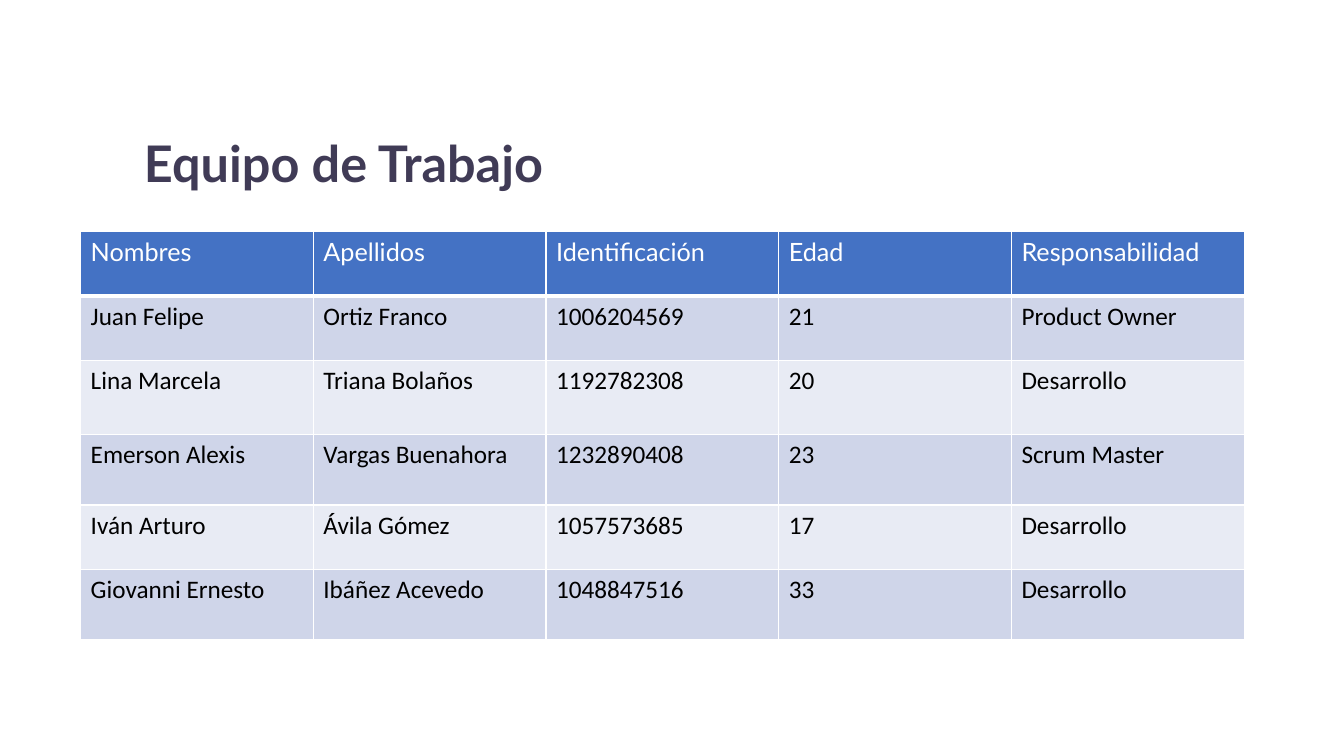
from lxml.etree import SubElement as Sub
from pptx import Presentation
from pptx.dml.color import RGBColor as RGB
from pptx.enum.text import MSO_AUTO_SIZE as Fit
from pptx.oxml.ns import qn
from pptx.util import Inches, Pt

WHITE = RGB(0xFF, 0xFF, 0xFF)
BLACK = RGB(0x00, 0x00, 0x00)
PLUM = RGB(0x40, 0x3B, 0x56)
BLUE = RGB(0x44, 0x72, 0xC4)
MID = RGB(0xCF, 0xD5, 0xE9)
PALE = RGB(0xE8, 0xEB, 0xF4)

THIN, THICK = 0.96, 3

TEAM = [
    ("Nombres", "Apellidos", "Identificación", "Edad", "Responsabilidad"),
    ("Juan Felipe", "Ortiz Franco", "1006204569", "21", "Product Owner"),
    ("Lina Marcela", "Triana Bolaños", "1192782308", "20", "Desarrollo"),
    ("Emerson Alexis", "Vargas Buenahora", "1232890408", "23", "Scrum Master"),
    ("Iván Arturo", "Ávila Gómez", "1057573685", "17", "Desarrollo"),
    ("Giovanni Ernesto", "Ibáñez Acevedo", "1048847516", "33", "Desarrollo"),
]
HEIGHTS = [0.64, 0.64, 0.73, 0.7, 0.64, 0.7]


def write(frame, text, font="Calibri", size=18, color=BLACK, bold=False):
    run = frame.paragraphs[0].add_run()
    run.text = text
    run.font.name = font
    run.font.size = Pt(size)
    run.font.bold = bold
    run.font.color.rgb = color


class Deck:
    head = dict(font="Lato", color=WHITE)
    bands = (MID, PALE)

    def __init__(self, slide):
        self.slide = slide

    def label(self, text, x, y, w, h, **style):
        frame = self.slide.shapes.add_textbox(
            Inches(x), Inches(y), Inches(w), Inches(h)).text_frame
        frame.word_wrap = True
        frame.auto_size = Fit.SHAPE_TO_FIT_TEXT
        write(frame, text, **style)

    def edge(self, cell, **widths):
        # Borders go in before the fill, in the order L, R, T, B
        props = cell._tc.get_or_add_tcPr()
        for side in "LRTB":
            width = Pt(widths.get(side, THIN))
            line = Sub(props, qn("a:ln" + side), w=str(int(width)))
            fill = Sub(line, qn("a:solidFill"))
            Sub(fill, qn("a:srgbClr"), val=str(WHITE))

    def table(self, data, x, y, w, heights):
        cols = len(data[0])
        grid = self.slide.shapes.add_table(
            len(data), cols, Inches(x), Inches(y),
            Inches(w), Inches(sum(heights))).table
        for col in grid.columns:
            col.width = Inches(w / cols)
        for r, (row, high) in enumerate(zip(data, heights)):
            grid.rows[r].height = Inches(high)
            for c, text in enumerate(row):
                cell = grid.cell(r, c)
                self.edge(cell, T=THICK if r == 1 else THIN,
                          B=THICK if r == 0 else THIN)
                cell.fill.solid()
                cell.fill.fore_color.rgb = self.bands[(r - 1) % 2] if r else BLUE
                write(cell.text_frame, text, **({} if r else self.head))


def main():
    show = Presentation()
    show.slide_width, show.slide_height = Inches(13.33), Inches(7.5)
    deck = Deck(show.slides.add_slide(show.slide_layouts[6]))

    # Title
    deck.label("Equipo de Trabajo", 1.33, 1.26, 7.54, 0.7,
               font="Lato", size=36, color=PLUM, bold=True)

    # Team table
    deck.table(TEAM, 0.8, 2.3, 11.54, HEIGHTS)

    show.save("out.pptx")


if __name__ == "__main__":
    main()
